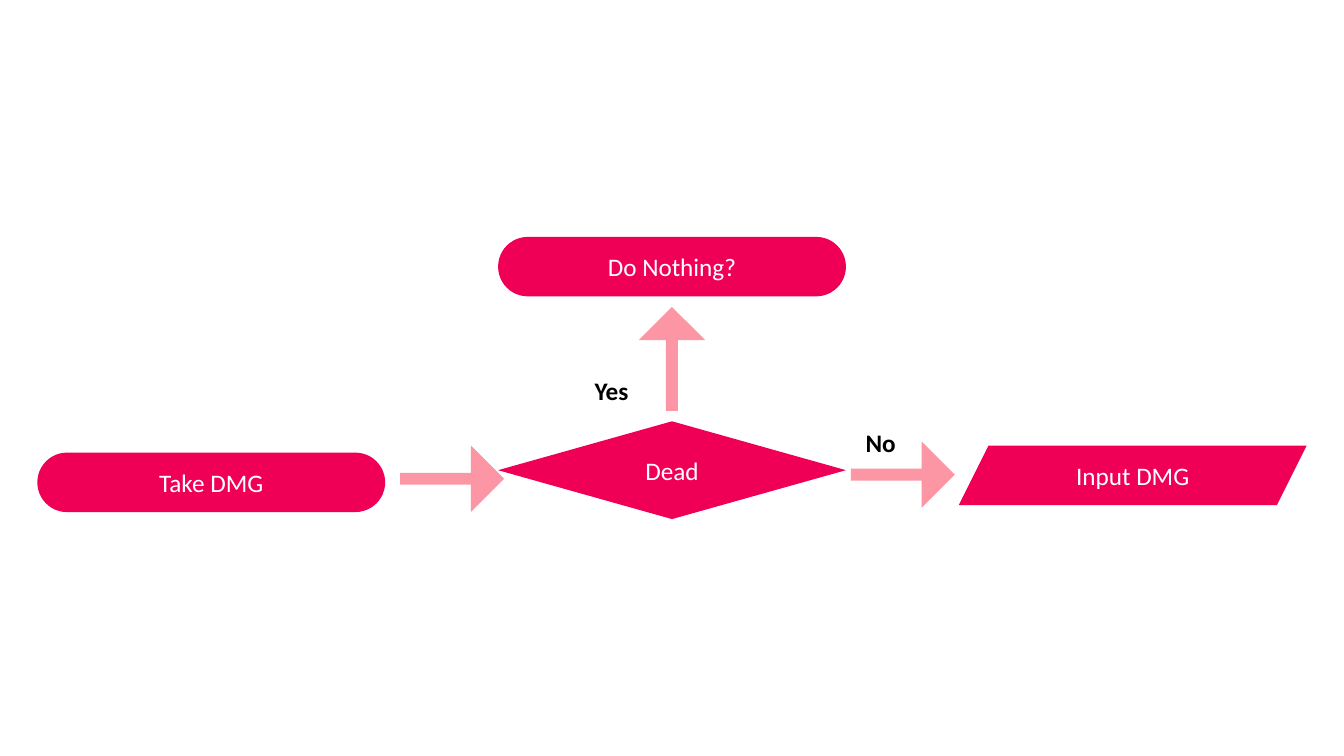
from pptx import Presentation
from pptx.dml.color import RGBColor
from pptx.enum.shapes import MSO_SHAPE
from pptx.enum.text import MSO_ANCHOR, PP_ALIGN
from pptx.util import Inches, Pt

CRIMSON, PINK, WHITE, BLACK = "EF0056", "FC96A5", "FFFFFF", "000000"
STEP_WIDTH, STEP_HEIGHT, DECISION_HEIGHT = 3.45, 0.59, 0.97
ARROW_WIDTH, ARROW_HEIGHT = 1.03, 0.66
LABEL_WIDTH, LABEL_HEIGHT = 1.11, 0.4


def color(hex_value):
    return RGBColor.from_string(hex_value)


def write(box, text, font_color, bold=False):
    frame = box.text_frame
    frame.word_wrap = True
    frame.text = text
    para = frame.paragraphs[0]
    para.alignment = PP_ALIGN.CENTER
    font = para.runs[0].font
    font.name = "Calibri"
    font.size = Pt(18)
    font.bold = bold
    font.color.rgb = color(font_color)


def add_block(page, kind, left, top, width, height, fill, adjustments=()):
    block = page.shapes.add_shape(
        kind, Inches(left), Inches(top), Inches(width), Inches(height))
    block.shadow.inherit = False
    block.fill.solid()
    block.fill.fore_color.rgb = color(fill)
    block.line.fill.background()
    for index, value in enumerate(adjustments):
        block.adjustments[index] = value
    return block


def add_step(page, kind, text, left, top, height=STEP_HEIGHT, adjustments=(0.5,)):
    step = add_block(page, kind, left, top, STEP_WIDTH, height, CRIMSON, adjustments)
    step.text_frame.vertical_anchor = MSO_ANCHOR.MIDDLE
    write(step, text, WHITE)


def add_arrow(page, left, top, rotation=0):
    arrow = add_block(page, MSO_SHAPE.RIGHT_ARROW, left, top,
                      ARROW_WIDTH, ARROW_HEIGHT, PINK, (0.179, 0.5))
    arrow.rotation = rotation


def add_label(page, text, left, top):
    label = page.shapes.add_textbox(
        Inches(left), Inches(top), Inches(LABEL_WIDTH), Inches(LABEL_HEIGHT))
    write(label, text, BLACK, bold=True)


def main():
    deck = Presentation()
    deck.slide_width, deck.slide_height = Inches(13.33), Inches(7.5)
    page = deck.slides.add_slide(deck.slide_layouts[6])

    # Steps of the flow
    add_step(page, MSO_SHAPE.ROUNDED_RECTANGLE, "Take DMG", 0.37, 4.49)
    add_step(page, MSO_SHAPE.DIAMOND, "Dead", 4.94, 4.18, DECISION_HEIGHT, ())
    add_step(page, MSO_SHAPE.ROUNDED_RECTANGLE, "Do Nothing?", 4.94, 2.35)
    add_step(page, MSO_SHAPE.PARALLELOGRAM, "Input DMG", 9.51, 4.42)

    # Arrows between the steps
    add_arrow(page, 3.97, 4.42)
    add_arrow(page, 6.15, 3.23, rotation=270)
    add_arrow(page, 8.44, 4.38)

    # Answers to the decision
    add_label(page, "Yes", 5.51, 3.67)
    add_label(page, "No", 8.18, 4.19)

    deck.save("out.pptx")


if __name__ == "__main__":
    main()
